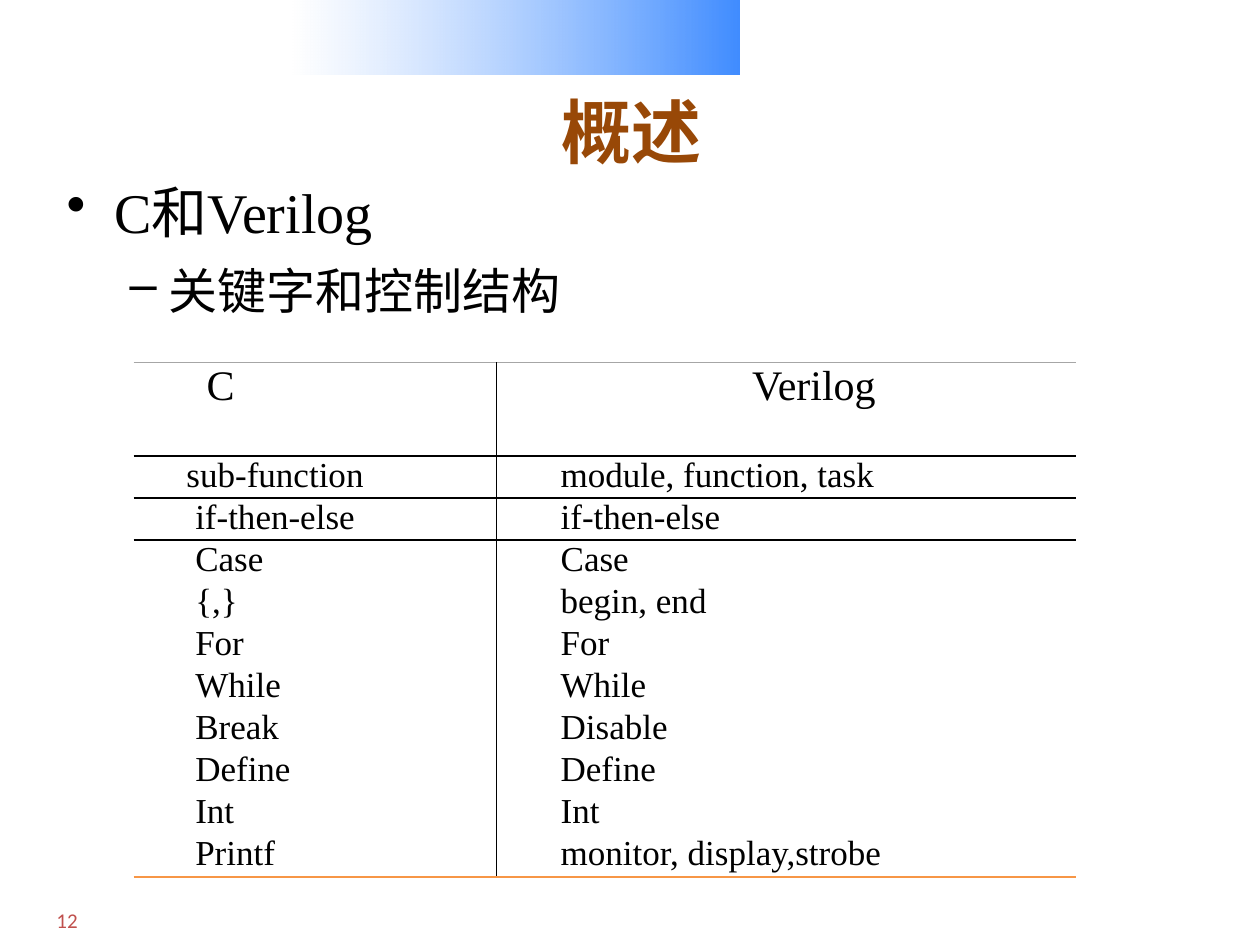
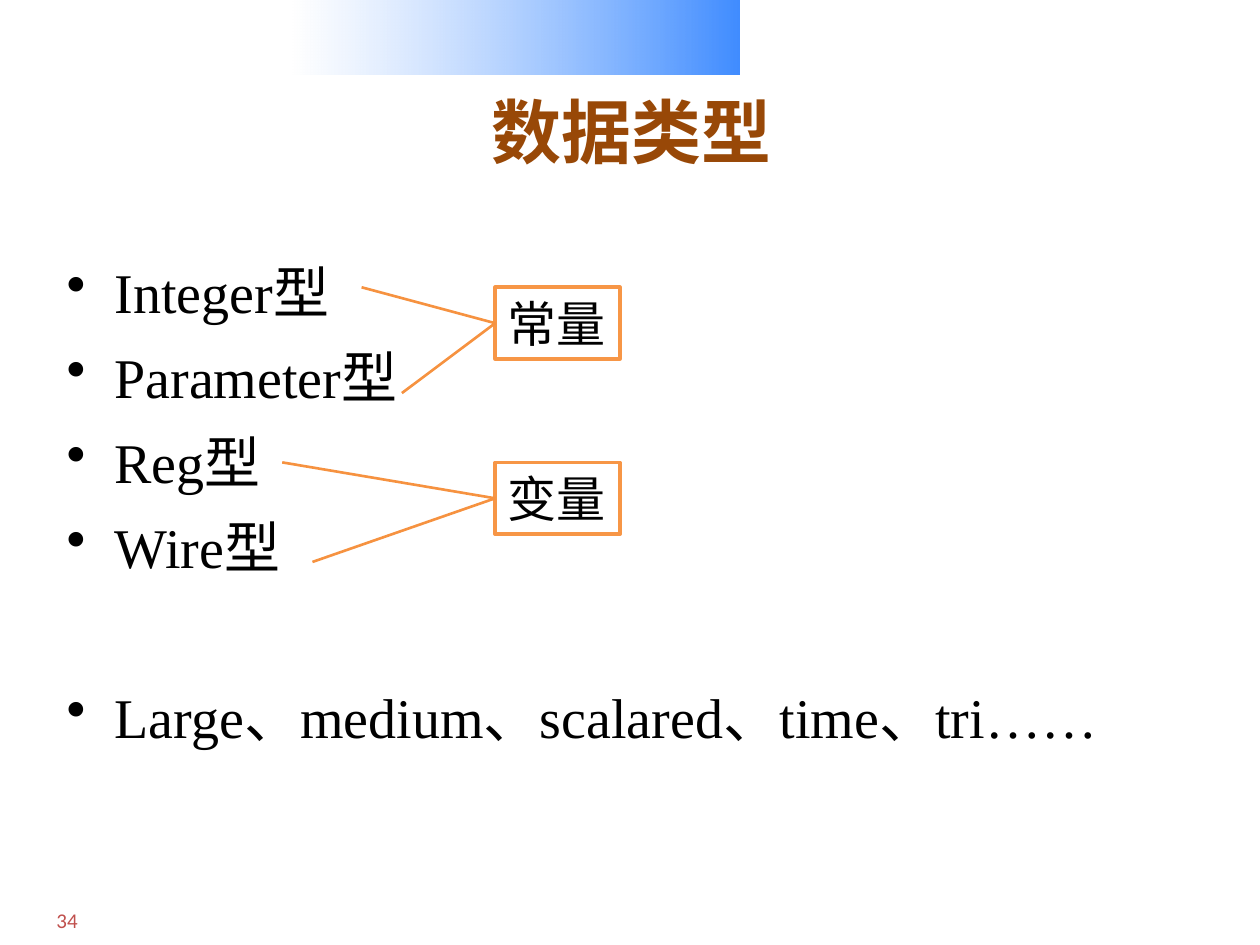
from dataclasses import dataclass

import lxml.etree
import pptx
import pptx.dml.color
import pptx.enum.shapes
import pptx.enum.text
import pptx.oxml.ns
import pptx.util
from pptx.util import Inches

BLACK, WHITE = "000000", "FFFFFF"
BROWN, RED = "984807", "C0504D"
BAND_BLUE = "0066FF"
ORANGE, LINE_ORANGE = "F79646", "F69240"
GREY = "A6A6A6"
SERIF = "Times New Roman"
MIDDLE = pptx.enum.text.MSO_ANCHOR.MIDDLE
LEFT, CENTER = pptx.enum.text.PP_ALIGN.LEFT, pptx.enum.text.PP_ALIGN.CENTER
NO_STYLE = "{2D5ABB26-0587-4C30-8999-92F81FD0307C}"


@dataclass(frozen=True)
class Bullet:
    text: str
    character: str = "•"
    size: float = 32
    margin: float = 0.38
    hanging: float = 0.38
    space_before: float = 6.4


@dataclass(frozen=True)
class KindBox:
    text: str
    top: float
    starts: tuple[tuple[float, float], ...]


KEYWORDS = [
    ("C", "Verilog"),
    ("sub-function", "module, function, task"),
    ("if-then-else", "if-then-else"),
    ("Case", "Case"),
    ("{,}", "begin, end"),
    ("For", "For"),
    ("While", "While"),
    ("Break", "Disable"),
    ("Define", "Define"),
    ("Int", "Int"),
    ("Printf", "monitor, display,strobe"),
]
C_INDENTS = [0.51, 0.35]
OVERVIEW = [
    Bullet("C和Verilog"),
    Bullet("关键字和控制结构", "–", 28, 0.81, 0.31, 5.6),
]
DATA_TYPES = [
    Bullet("Integer型"),
    Bullet("Parameter型"),
    Bullet("Reg型"),
    Bullet("Wire型"),
    Bullet("Large、medium、scalared、time、tri……", space_before=55),
]
KIND_BOXES = [
    KindBox("常量", 2.28, ((2.87, 2.28), (3.19, 3.12))),
    KindBox("变量", 3.67, ((2.24, 3.67), (2.48, 4.46))),
]


def color(value: str):
    return pptx.dml.color.RGBColor.from_string(value)


def add_element(parent, tag: str, **attributes: str):
    return lxml.etree.SubElement(parent, pptx.oxml.ns.qn(tag), attributes)


def style(paragraph, size: float, value: str = BLACK, name: str = SERIF, bold: bool = False) -> None:
    font = paragraph.font
    font.size, font.name, font.bold = pptx.util.Pt(size), name, bold
    font.color.rgb = color(value)


def add_text_box(slide, left: float, top: float, width: float, height: float):
    shape = slide.shapes.add_textbox(Inches(left), Inches(top), Inches(width), Inches(height))
    shape.text_frame.word_wrap = True
    return shape.text_frame


def add_band(slide) -> None:
    band = slide.shapes.add_shape(
        pptx.enum.shapes.MSO_SHAPE.RECTANGLE, Inches(2.32), 0, Inches(3.55), Inches(0.59)
    )
    band.shadow.inherit = False
    band.line.fill.background()
    band.fill.gradient()
    band.fill.gradient_angle = 0
    for stop, value in zip(band.fill.gradient_stops, (WHITE, BAND_BLUE)):
        stop.color.rgb = color(value)
    tags = band._element.spPr.iter(pptx.oxml.ns.qn("a:srgbClr"))
    for tag, alpha in zip(tags, ("48000", "75000")):
        add_element(tag, "a:alpha", val=alpha)


def add_slide(presentation, title: str, number: int):
    slide = presentation.slides.add_slide(presentation.slide_layouts[6])
    add_band(slide)
    number_frame = add_text_box(slide, 0.35, 7.15, 0.47, 0.3)
    number_frame.text = str(number)
    style(number_frame.paragraphs[0], 12, RED, "Calibri")
    title_frame = add_text_box(slide, 0.51, 0.6, 9, 0.87)
    title_frame.text = title
    title_frame.vertical_anchor = MIDDLE
    title_frame.paragraphs[0].alignment = CENTER
    style(title_frame.paragraphs[0], 40, BROWN, bold=True)
    return slide


def add_bullets(slide, bullets: list[Bullet], top: float) -> None:
    frame = add_text_box(slide, 0.43, top, 9, 6.31 - top)
    for index, bullet in enumerate(bullets):
        paragraph = frame.add_paragraph() if index else frame.paragraphs[0]
        paragraph.text = bullet.text
        paragraph.line_spacing = 1.1
        if index:
            paragraph.space_before = pptx.util.Pt(bullet.space_before)
        properties = paragraph._p.get_or_add_pPr()
        properties.set("marL", str(Inches(bullet.margin)))
        properties.set("indent", str(-Inches(bullet.hanging)))
        add_element(properties, "a:buChar", char=bullet.character)
        style(paragraph, bullet.size)


def add_border(cell, side: str, value: str, width: float) -> None:
    line = add_element(
        cell._tc.get_or_add_tcPr(), f"a:ln{side}", w=str(pptx.util.Pt(width))
    )
    add_element(add_element(line, "a:solidFill"), "a:srgbClr", val=value)


def add_keyword_table(slide) -> None:
    frame = slide.shapes.add_table(
        len(KEYWORDS), 2, Inches(1.06), Inches(2.88), Inches(7.48), Inches(3.82)
    )
    table = frame.table
    table.first_row = table.horz_banding = False
    table._tbl.tblPr.find(pptx.oxml.ns.qn("a:tableStyleId")).text = NO_STYLE
    for column, width in zip(table.columns, (2.88, 4.6)):
        column.width = Inches(width)
    last = len(KEYWORDS) - 1
    rules = {0: (BLACK, 1), 1: (BLACK, 1.5), last: (ORANGE, 1.5)}
    for row, texts in enumerate(KEYWORDS):
        table.rows[row].height = Inches(0.308 if row else 0.74)
        c_indent = C_INDENTS[row] if row < len(C_INDENTS) else 0.42
        for column, (text, indent) in enumerate(zip(texts, (c_indent, 0.44))):
            cell = table.cell(row, column)
            cell.text = text
            cell.margin_left = cell.margin_right = Inches(0.07)
            cell.margin_top = cell.margin_bottom = 0
            paragraph = cell.text_frame.paragraphs[0]
            paragraph.alignment = CENTER if row == 0 and column else LEFT
            paragraph._p.get_or_add_pPr().set("indent", str(Inches(indent)))
            style(paragraph, 20 if row else 24)
            add_border(cell, "L" if column else "R", BLACK, 1)
            if row == 0:
                add_border(cell, "T", GREY, 0.5)
            elif row - 1 in rules:
                add_border(cell, "T", *rules[row - 1])
            if row in rules:
                add_border(cell, "B", *rules[row])
            cell.fill.background()


def add_kind_box(slide, box: KindBox) -> None:
    left, width, height = 3.93, 0.99, 0.57
    shape = slide.shapes.add_shape(
        pptx.enum.shapes.MSO_SHAPE.RECTANGLE,
        Inches(left), Inches(box.top), Inches(width), Inches(height),
    )
    shape.shadow.inherit = False
    shape.fill.solid()
    shape.fill.fore_color.rgb = color(WHITE)
    shape.line.color.rgb = color(ORANGE)
    shape.line.width = pptx.util.Pt(2)
    frame = shape.text_frame
    frame.text = box.text
    frame.word_wrap = False
    frame.vertical_anchor = MIDDLE
    frame.paragraphs[0].alignment = LEFT
    style(frame.paragraphs[0], 28, name="Arial")
    for start_x, start_y in box.starts:
        connector = slide.shapes.add_connector(
            pptx.enum.shapes.MSO_CONNECTOR.STRAIGHT,
            Inches(start_x), Inches(start_y), Inches(left), Inches(box.top + height / 2),
        )
        connector.line.color.rgb = color(LINE_ORANGE)
        connector.line.width = pptx.util.Pt(1.5)
        add_element(connector._element.spPr, "a:effectLst")


def main() -> None:
    presentation = pptx.Presentation()
    presentation.slide_width, presentation.slide_height = Inches(10), Inches(7.5)

    overview = add_slide(presentation, "概述", 12)
    add_bullets(overview, OVERVIEW, 1.31)
    add_keyword_table(overview)

    data_types = add_slide(presentation, "数据类型", 34)
    add_bullets(data_types, DATA_TYPES, 1.94)
    for box in KIND_BOXES:
        add_kind_box(data_types, box)

    presentation.save("out.pptx")


if __name__ == "__main__":
    main()
